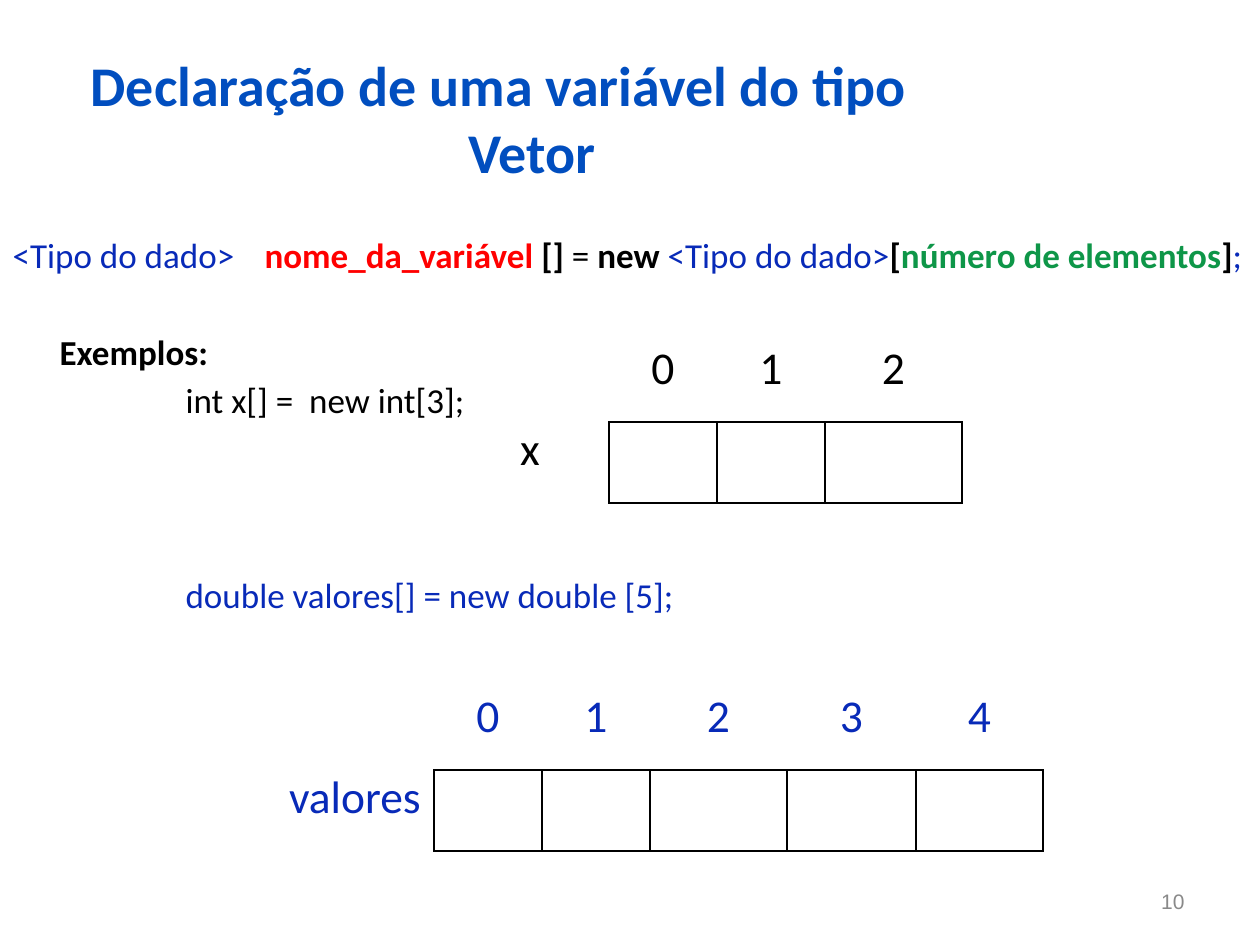
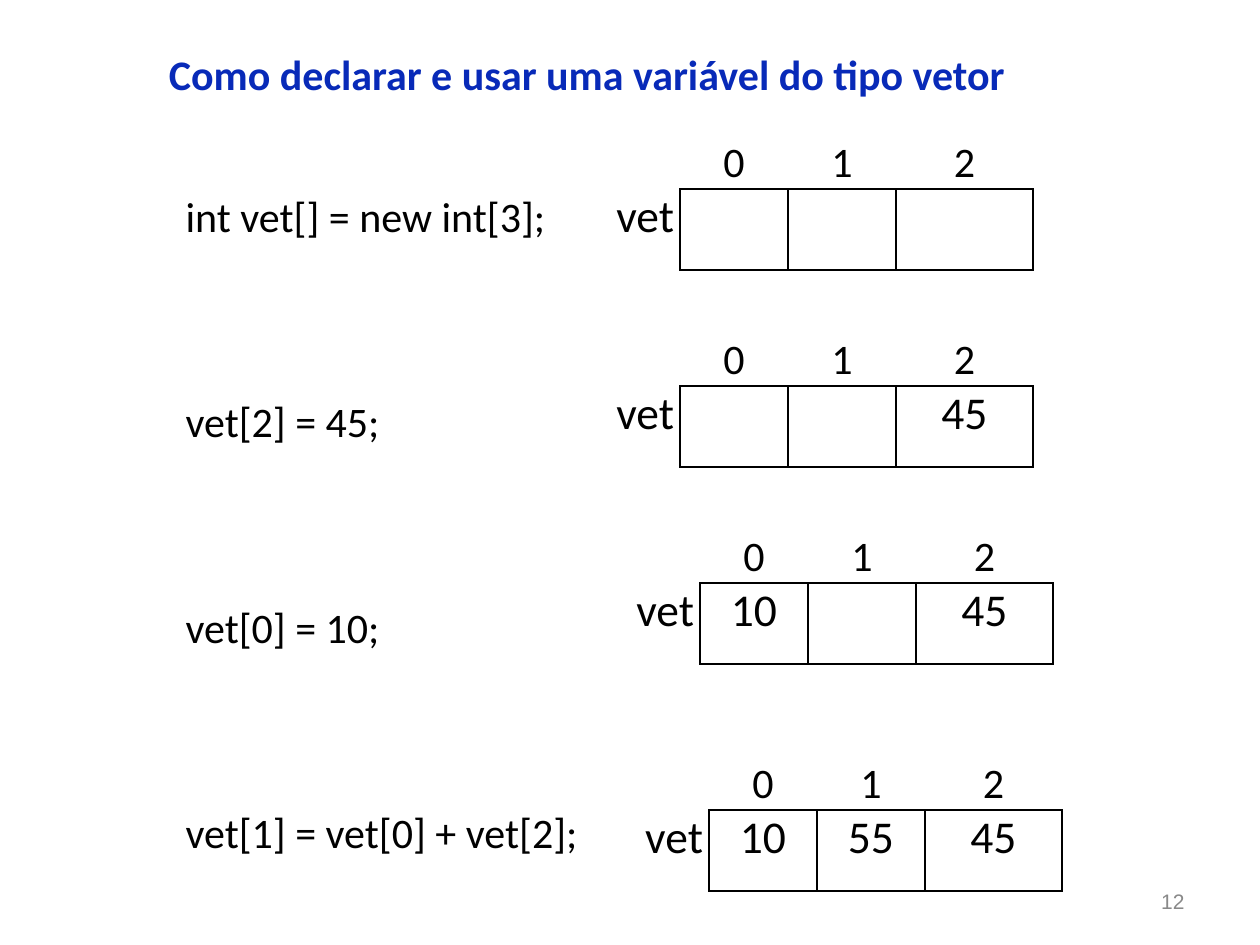
"""Build two slides on declaring and using array variables."""
from dataclasses import dataclass

from lxml import etree
from pptx import Presentation
from pptx.dml.color import RGBColor
from pptx.enum.text import MSO_ANCHOR, MSO_AUTO_SIZE, PP_ALIGN
from pptx.oxml.ns import qn
from pptx.util import Pt

EMU_PER_PX = 914400 / 126
LEFT, CENTER, RIGHT = PP_ALIGN.LEFT, PP_ALIGN.CENTER, PP_ALIGN.RIGHT
TOP, MIDDLE, BOTTOM = MSO_ANCHOR.TOP, MSO_ANCHOR.MIDDLE, MSO_ANCHOR.BOTTOM
NO_AUTOFIT = MSO_AUTO_SIZE.NONE

COLORS = {
    "title": "014EBF",
    "blue": "082AB8",
    "red": "FF0000",
    "green": "0E9648",
    "black": "000000",
    "gray": "898989",
}
FONT = "Calibri"
NUMBER_FONT = "Arial"
LABEL_WIDTH = 158
CELL_WIDTHS = (108, 108, 137, 129, 127)
ROW_HEIGHT = 81
CELL_INSET = 6
CODE_INDENT = 173
ARRAY_SIZE = 26


@dataclass(frozen=True)
class Span:
    text: str
    color: str = "black"
    bold: bool = False


@dataclass(frozen=True)
class Line:
    spans: tuple[Span, ...]
    indent: int = 0
    before: int = 0
    tab: int = 0


@dataclass(frozen=True)
class Box:
    left: int
    top: int
    width: int
    height: int


@dataclass(frozen=True)
class ArrayDrawing:
    label: str
    left: int
    top: int
    values: tuple[str, ...]
    color: str = "black"
    index_size: int = ARRAY_SIZE
    index_anchor: MSO_ANCHOR = TOP
    label_align: PP_ALIGN = CENTER


def px(length: int) -> int:
    return round(length * EMU_PER_PX)


def add_span(paragraph, span: Span, size: int, font: str = FONT) -> None:
    run = paragraph.add_run()
    run.text = span.text
    run.font.name = font
    run.font.size = Pt(size)
    run.font.bold = span.bold
    run.font.color.rgb = RGBColor.from_string(COLORS[span.color])


def place(shape, box: Box) -> None:
    shape.left, shape.top = px(box.left), px(box.top)
    shape.width, shape.height = px(box.width), px(box.height)


def write_lines(shape, lines: tuple[Line, ...], size: int, align: PP_ALIGN,
                anchor: MSO_ANCHOR, font: str = FONT) -> None:
    frame = shape.text_frame
    frame.word_wrap = True
    frame.auto_size = NO_AUTOFIT
    frame.vertical_anchor = anchor
    for position, line in enumerate(lines):
        paragraph = frame.add_paragraph() if position else frame.paragraphs[0]
        properties = paragraph._p.get_or_add_pPr()
        properties.set("marL", str(px(line.indent)))
        properties.set("indent", "0")
        etree.SubElement(properties, qn("a:buNone"))
        if line.tab:
            stops = etree.SubElement(properties, qn("a:tabLst"))
            etree.SubElement(stops, qn("a:tab"), pos=str(px(line.tab)), algn="l")
        paragraph.alignment = align
        paragraph.space_before = px(line.before)
        for span in line.spans:
            add_span(paragraph, span, size, font)


def set_borders(cell, visible: str) -> None:
    properties = cell._tc.get_or_add_tcPr()
    for side in "LRTB":
        border = etree.SubElement(properties, qn(f"a:ln{side}"), w=str(Pt(1)))
        if side in visible:
            fill = etree.SubElement(border, qn("a:solidFill"))
            etree.SubElement(fill, qn("a:srgbClr"), val=COLORS["black"])
        else:
            etree.SubElement(border, qn("a:noFill"))


def fill_cell(cell, text: str, color: str, size: int, align: PP_ALIGN,
              anchor: MSO_ANCHOR, borders: str) -> None:
    set_borders(cell, borders)
    cell.fill.background()
    cell.margin_left = cell.margin_right = px(CELL_INSET)
    cell.margin_top = cell.margin_bottom = 0
    cell.vertical_anchor = anchor
    paragraph = cell.text_frame.paragraphs[0]
    paragraph.alignment = align
    if text:
        add_span(paragraph, Span(text, color), size)


def draw_array(slide, array: ArrayDrawing) -> None:
    widths = (LABEL_WIDTH, *CELL_WIDTHS[:len(array.values)])
    table = slide.shapes.add_table(
        2, len(widths), px(array.left), px(array.top),
        px(sum(widths)), px(2 * ROW_HEIGHT)).table
    table.first_row = table.horz_banding = False
    for column, width in zip(table.columns, widths):
        column.width = px(width)
    for row in table.rows:
        row.height = px(ROW_HEIGHT)
    fill_cell(table.cell(0, 0), "", array.color, ARRAY_SIZE, CENTER, TOP, "")
    fill_cell(table.cell(1, 0), array.label, array.color, ARRAY_SIZE,
              array.label_align, TOP, "R")
    for index, value in enumerate(array.values):
        fill_cell(table.cell(0, index + 1), str(index), array.color,
                  array.index_size, CENTER, array.index_anchor, "B")
        fill_cell(table.cell(1, index + 1), value, array.color, ARRAY_SIZE,
                  CENTER, TOP, "LRTB")


def add_page(deck, title_box: Box, title: tuple[Line, ...], title_size: int,
             title_align: PP_ALIGN, body_box: Box, body: tuple[Line, ...],
             body_size: int, arrays: tuple[ArrayDrawing, ...], number: str) -> None:
    slide = deck.slides.add_slide(deck.slide_layouts[1])
    heading, content = slide.placeholders
    place(heading, title_box)
    write_lines(heading, title, title_size, title_align, MIDDLE)
    place(content, body_box)
    write_lines(content, body, body_size, LEFT, TOP)
    for array in arrays:
        draw_array(slide, array)
    page_number = slide.shapes.add_textbox(px(903), px(876), px(294), px(50))
    write_lines(page_number, (Line((Span(number, "gray"),)),), 12, RIGHT,
                MIDDLE, NUMBER_FONT)


def add_declaration_page(deck) -> None:
    title = (
        Line((Span("Declaração de uma variável do tipo", "title", True),)),
        Line((Span("Vetor", "title", True),), indent=378),
    )
    syntax = (
        Span("<Tipo do dado>\t", "blue"),
        Span("nome_da_variável ", "red", True),
        Span("[] ", bold=True),
        Span("= "),
        Span("new ", bold=True),
        Span("<Tipo do dado>", "blue"),
        Span("[", bold=True),
        Span("número de elementos", "green", True),
        Span("]", bold=True),
        Span(";", "blue"),
    )
    body = (
        Line(syntax, tab=246),
        Line((Span("Exemplos:", bold=True),), indent=47, before=55),
        Line((Span("int x[] =  new int[3];"),), CODE_INDENT, 6),
        Line((Span("double valores[] = new double [5];", "blue"),),
             CODE_INDENT, 153),
    )
    arrays = (
        ArrayDrawing("x", 451, 341, ("",) * 3),
        ArrayDrawing("valores", 276, 689, ("",) * 5, "blue"),
    )
    add_page(deck, Box(78, 39, 960, 158), title, 32, LEFT,
             Box(0, 227, 1270, 443), body, 20, arrays, "10")


def add_usage_page(deck) -> None:
    title = (Line((Span("Como declarar e usar uma variável do tipo vetor",
                        "blue", True),)),)
    steps = (
        ("int vet[] = new int[3];", 522, 108, ("", "", "")),
        ("vet[2] = 45;", 522, 305, ("", "", "45")),
        ("vet[0] = 10;", 542, 502, ("10", "", "45")),
        ("vet[1] = vet[0] + vet[2];", 551, 729, ("10", "55", "45")),
    )
    body = tuple(
        Line((Span(code),), CODE_INDENT, 155 if position else 0)
        for position, (code, *_) in enumerate(steps))
    arrays = tuple(
        ArrayDrawing("vet", left, top, values, index_size=24,
                     index_anchor=BOTTOM, label_align=RIGHT)
        for _, left, top, values in steps)
    add_page(deck, Box(129, 20, 916, 108), title, 24, CENTER,
             Box(0, 184, 1270, 686), body, 24, arrays, "12")


def main() -> None:
    deck = Presentation()
    deck.slide_width, deck.slide_height = px(1260), px(945)
    add_declaration_page(deck)
    add_usage_page(deck)
    deck.save("out.pptx")


if __name__ == "__main__":
    main()
